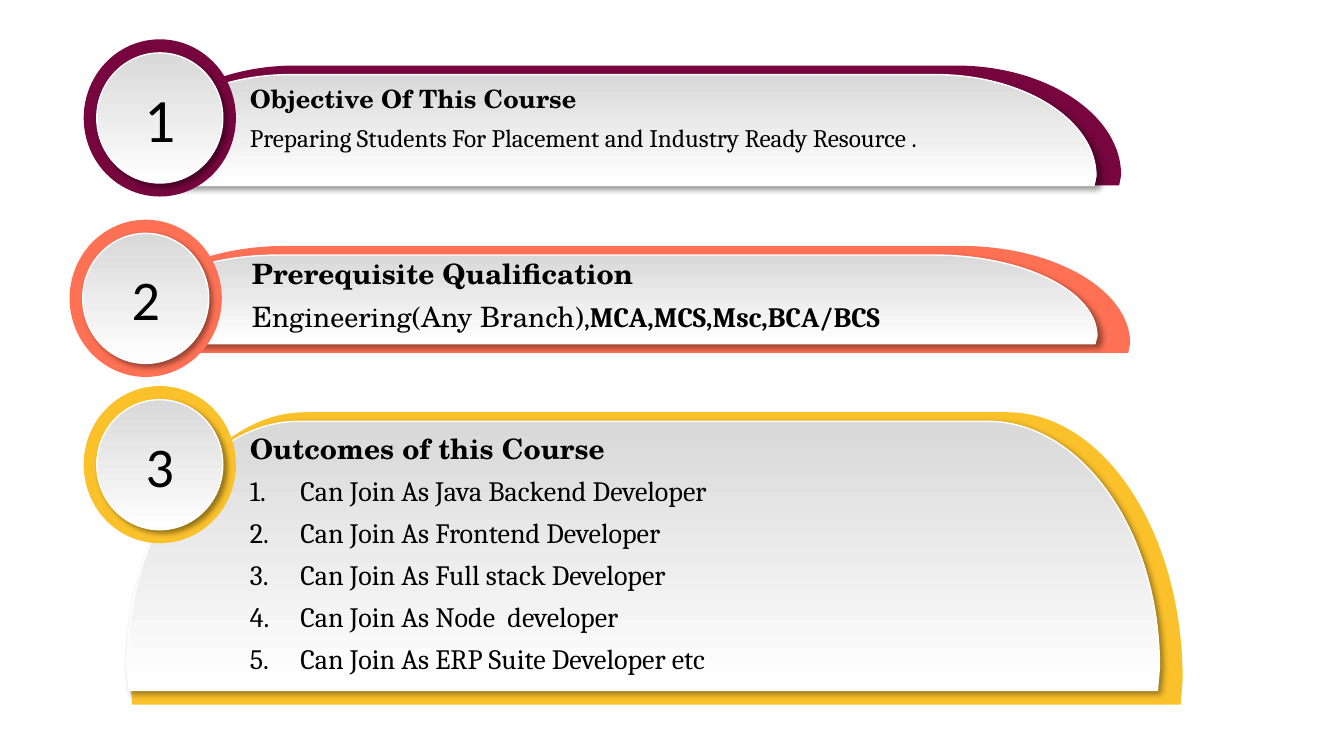
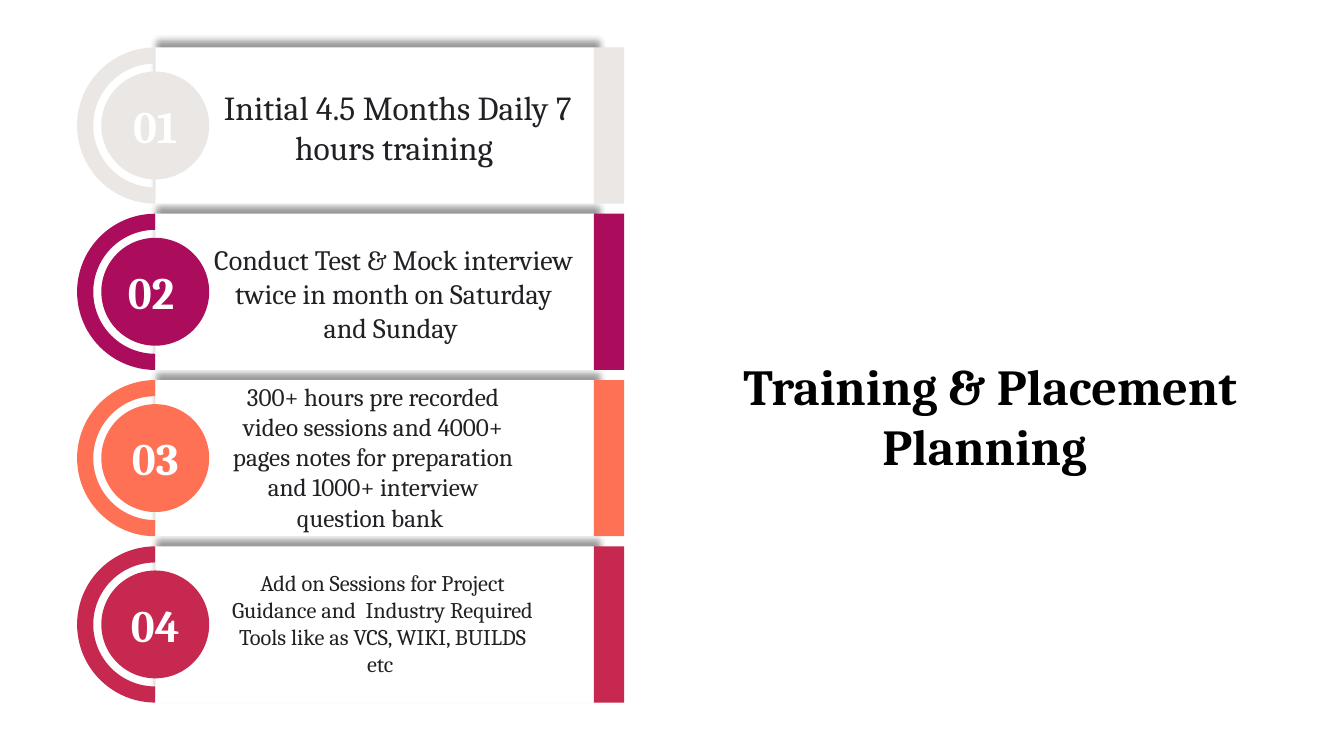
from lxml import etree
from pptx import Presentation
from pptx.dml.color import RGBColor
from pptx.enum.shapes import MSO_SHAPE
from pptx.enum.text import MSO_ANCHOR, MSO_AUTO_SIZE, PP_ALIGN
from pptx.oxml.ns import qn
from pptx.util import Inches, Pt

OVAL, RECTANGLE, BLOCK_ARC = MSO_SHAPE.OVAL, MSO_SHAPE.RECTANGLE, MSO_SHAPE.BLOCK_ARC
TOP, MIDDLE, CENTER = MSO_ANCHOR.TOP, MSO_ANCHOR.MIDDLE, PP_ALIGN.CENTER
NO_AUTOFIT = MSO_AUTO_SIZE.NONE
TITLE_ONLY, BLANK = 5, 6

SERIF, HEADING, SANS = "Cambria", "TeX Gyre Schola", "Calibri"
BLACK, WHITE, SILVER, INK = "000000", "FFFFFF", "D9D9D9", "202124"
PLUM, CORAL, GOLD = "77063F", "FF7154", "FAC12B"
STONE, MAGENTA, CRIMSON = "EBE7E4", "AC0C5C", "C7284F"

# Boxes are (left, top, width, height) in inches; runs are (text, font, bold).
CARDS = [
    {
        "number": "1", "number_size": 44, "color": PLUM, "badge": (0.83, 0.39),
        "back": (1.29, 0.65, 9.83, 1.19), "front": (1.29, 0.74, 9.58, 1.1),
        "text_box": (2.38, 0.78, 7.9, 0.82), "text_size": 18, "numbered": False,
        "heading": "Objective Of This Course",
        "lines": [[("Preparing Students For Placement and Industry Ready Resource .",
                    SERIF, False)]],
    },
    {
        "number": "2", "number_size": 40, "color": CORAL, "badge": (0.69, 2.18),
        "back": (1.15, 2.44, 10.06, 1.06), "front": (1.15, 2.53, 9.73, 0.88),
        "text_box": (2.4, 2.5, 8.07, 0.89), "text_size": 20, "numbered": False,
        "heading": "Prerequisite Qualification",
        "lines": [[("Engineering(Any Branch)", HEADING, False), (",", SERIF, False),
                   ("MCA,MCS,Msc,BCA/BCS", SERIF, True)]],
    },
    {
        "number": "3", "number_size": 40, "color": GOLD, "badge": (0.83, 3.83),
        "back": (1.29, 4.09, 10.44, 2.9), "front": (1.26, 4.18, 10.24, 2.67),
        "text_box": (2.38, 4.23, 8.49, 2.54), "text_size": 20, "numbered": True,
        "heading": "Outcomes of this Course",
        "lines": [[(text, SERIF, False)] for text in (
            "Can Join As Java Backend Developer",
            "Can Join As Frontend Developer",
            "Can Join As Full stack Developer",
            "Can Join As Node  developer",
            "Can Join As ERP Suite Developer etc",
        )],
    },
]
BADGE_SIZE, DISC_SIZE = (1.51, 1.56), (1.25, 1.29)
ARC_FACTOR = 0.55  # control point distance that makes a Bézier a quarter ellipse

PLAN_TITLE = "Training & Placement Planning "
# number, its right margin, colour, text, text size, text box
PLAN_ROWS = [
    ("01", 0, STONE, "Initial 4.5 Months Daily 7 hours training ", 24,
     (1.99, 0.81, 3.91, 0.91)),
    ("02", 0.08, MAGENTA,
     "Conduct Test & Mock interview twice in month on Saturday and Sunday ",
     20, (1.99, 2.36, 3.83, 1.11)),
    ("03", 0, CORAL, "300+ hours pre recorded video sessions and 4000+ pages notes for "
     "preparation and 1000+ interview question bank ", 18, (2.12, 3.73, 3.16, 1.62)),
    ("04", 0, CRIMSON, "Add on Sessions for Project Guidance and  Industry Required Tools "
     "like as VCS, WIKI, BUILDS etc ", 16, (2.12, 5.6, 3.35, 1.18)),
]
ROW_TOP, ROW_PITCH, ROW_HEIGHT = 0.47, 1.65, 1.55
PANEL_LEFT, PANEL_RIGHT, BAR_WIDTH = 1.54, 5.89, 0.3
RING_THICKNESS, CIRCLE_SIZE = 0.16, 1.07


def color_of(hex_string):
    return RGBColor.from_string(hex_string)


def inches(box):
    return [Inches(length) for length in box]


def fill_solid(shape, color):
    """Fill flat, without outline or shadow."""
    shape.fill.solid()
    shape.fill.fore_color.rgb = color_of(color)
    shape.line.fill.background()
    shape.shadow.inherit = False


def add_solid(slide, kind, box, color):
    shape = slide.shapes.add_shape(kind, *inches(box))
    fill_solid(shape, color)
    return shape


def add_shadow(shape, blur, distance, angle, scale=100):
    """Give a 40 % black shadow; blur and distance in points, scale in percent."""
    shape.shadow.inherit = False
    effects = shape._element.spPr.find(qn("a:effectLst"))
    shadow = etree.SubElement(
        effects, qn("a:outerShdw"), blurRad=str(Pt(blur)), dist=str(Pt(distance)),
        dir=str(angle * 60000), sx=str(scale * 1000), sy=str(scale * 1000),
        algn="ctr", rotWithShape="0")
    black = etree.SubElement(shadow, qn("a:srgbClr"), val=BLACK)
    etree.SubElement(black, qn("a:alpha"), val="40000")


def fill_silver(shape):
    """Fill from silver down to white, with white outline and shadow."""
    shape.fill.gradient()
    shape.fill.gradient_angle = 270
    for stop, color in zip(shape.fill.gradient_stops, (SILVER, WHITE)):
        stop.color.rgb = color_of(color)
    shape.line.color.rgb = color_of(WHITE)
    shape.line.width = Pt(1)
    add_shadow(shape, 4, 3, 45)


def style_font(font, size, name, color, bold=False):
    font.size, font.name, font.bold = Pt(size), name, bold
    font.color.rgb = color_of(color)


def write_centered(shape, text, size, name, color, bold=False, anchor=MIDDLE):
    frame = shape.text_frame
    frame.word_wrap = True
    frame.vertical_anchor = anchor
    paragraph = frame.paragraphs[0]
    paragraph.add_run().text = text
    paragraph.alignment = CENTER
    style_font(paragraph.font, size, name, color, bold)


def bend_segment(segment, start, end, leaves_flat):
    """Turn a straight outline segment into a quarter ellipse."""
    reach_x = round((end[0] - start[0]) * ARC_FACTOR)
    reach_y = round((end[1] - start[1]) * ARC_FACTOR)
    if leaves_flat:
        controls = [(start[0] + reach_x, start[1]), (end[0], end[1] - reach_y)]
    else:
        controls = [(start[0], start[1] + reach_y), (end[0] - reach_x, end[1])]
    segment.tag = qn("a:cubicBezTo")
    for index, (x, y) in enumerate(controls):
        segment.insert(index, etree.Element(qn("a:pt"), x=str(x), y=str(y)))


def add_tab(slide, box):
    """Draw a tab with elliptic upper corners and a slight taper at the foot."""
    left, top, width, height = inches(box)
    right, bottom, taper = left + width, top + height, Inches(0.02)
    radius_x, shoulder = round(width / 6), top + round(height * 0.914)
    points = [
        (left + radius_x, top), (right - radius_x, top), (right, shoulder),
        (right - taper, bottom), (left + taper, bottom), (left, shoulder),
        (left + radius_x, top),
    ]
    builder = slide.shapes.build_freeform(*points[0])
    builder.add_line_segments(points[1:], close=True)
    tab = builder.convert_to_shape()
    local = [(x - left, y - top) for x, y in points]
    segments = list(tab._element.iter(qn("a:lnTo")))
    bend_segment(segments[1], local[1], local[2], leaves_flat=True)
    bend_segment(segments[5], local[5], local[6], leaves_flat=False)
    return tab


def number_paragraph(paragraph):
    properties = paragraph._p.get_or_add_pPr()
    properties.set("marL", str(Inches(0.5)))
    properties.set("indent", str(-Inches(0.5)))
    etree.SubElement(properties, qn("a:buAutoNum"), type="arabicPeriod")


def add_card_text(slide, card):
    frame = slide.shapes.add_textbox(*inches(card["text_box"])).text_frame
    frame.word_wrap = True
    lines = [[(card["heading"], HEADING, True)]] + card["lines"]
    for index, line in enumerate(lines):
        paragraph = frame.add_paragraph() if index else frame.paragraphs[0]
        if index and card["numbered"]:
            number_paragraph(paragraph)
        paragraph.space_before = Pt(6)
        _, name, bold = line[0]
        style_font(paragraph.font, card["text_size"], name, BLACK, bold)
        for text, name, bold in line:
            run = paragraph.add_run()
            run.text = text
            if len(line) > 1:
                style_font(run.font, card["text_size"], name, BLACK, bold)


def add_card(slide, card):
    fill_solid(add_tab(slide, card["back"]), card["color"])
    fill_silver(add_tab(slide, card["front"]))
    add_solid(slide, OVAL, card["badge"] + BADGE_SIZE, card["color"])
    corner = tuple(start + (outer - inner) / 2 for start, outer, inner
                   in zip(card["badge"], BADGE_SIZE, DISC_SIZE))
    disc = slide.shapes.add_shape(OVAL, *inches(corner + DISC_SIZE))
    fill_silver(disc)
    write_centered(disc, card["number"], card["number_size"], SANS, BLACK)
    add_card_text(slide, card)


def add_plan_row(slide, top, number, number_margin, color, text, size, text_box):
    ring_box = (PANEL_LEFT - ROW_HEIGHT / 2, top, ROW_HEIGHT, ROW_HEIGHT)
    ring = add_solid(slide, BLOCK_ARC, ring_box, color)
    # Angles are in 60000ths of a degree, adjustments in 100000ths.
    ring.adjustments[0] = 90 * 0.6
    ring.adjustments[1] = 270 * 0.6
    ring.adjustments[2] = RING_THICKNESS / ROW_HEIGHT

    circle_box = (PANEL_LEFT - CIRCLE_SIZE / 2, top + (ROW_HEIGHT - CIRCLE_SIZE) / 2,
                  CIRCLE_SIZE, CIRCLE_SIZE)
    circle = add_solid(slide, OVAL, circle_box, color)
    write_centered(circle, number, 32, SERIF, WHITE, bold=True)
    circle.text_frame.margin_left = 0
    circle.text_frame.margin_right = Inches(number_margin)

    add_solid(slide, RECTANGLE, (PANEL_RIGHT, top, BAR_WIDTH, ROW_HEIGHT), color)
    label = slide.shapes.add_textbox(*inches(text_box))
    write_centered(label, text, size, SERIF, INK, anchor=TOP)


def build_course_slide(presentation):
    slide = presentation.slides.add_slide(presentation.slide_layouts[BLANK])
    for card in CARDS:
        add_card(slide, card)


def build_plan_slide(presentation):
    slide = presentation.slides.add_slide(presentation.slide_layouts[TITLE_ONLY])
    title = slide.shapes.title
    title.left, title.top, title.width, title.height = inches((6.55, 3.47, 6.54, 1.31))
    write_centered(title, PLAN_TITLE, 36, SERIF, BLACK, bold=True, anchor=TOP)
    title.text_frame.auto_size = NO_AUTOFIT

    tops = [ROW_TOP + ROW_PITCH * index for index in range(len(PLAN_ROWS))]
    # Lowest first, so that no shadow falls on the panel above it.
    for top in reversed(tops):
        panel_box = (PANEL_LEFT, top, PANEL_RIGHT - PANEL_LEFT, ROW_HEIGHT)
        panel = add_solid(slide, RECTANGLE, panel_box, WHITE)
        add_shadow(panel, 5, 5, 300, scale=101)
    for top, row in zip(tops, PLAN_ROWS):
        add_plan_row(slide, top, *row)


def main():
    presentation = Presentation()
    presentation.slide_width, presentation.slide_height = inches((13.33, 7.5))
    build_course_slide(presentation)
    build_plan_slide(presentation)
    presentation.save("out.pptx")


if __name__ == "__main__":
    main()
